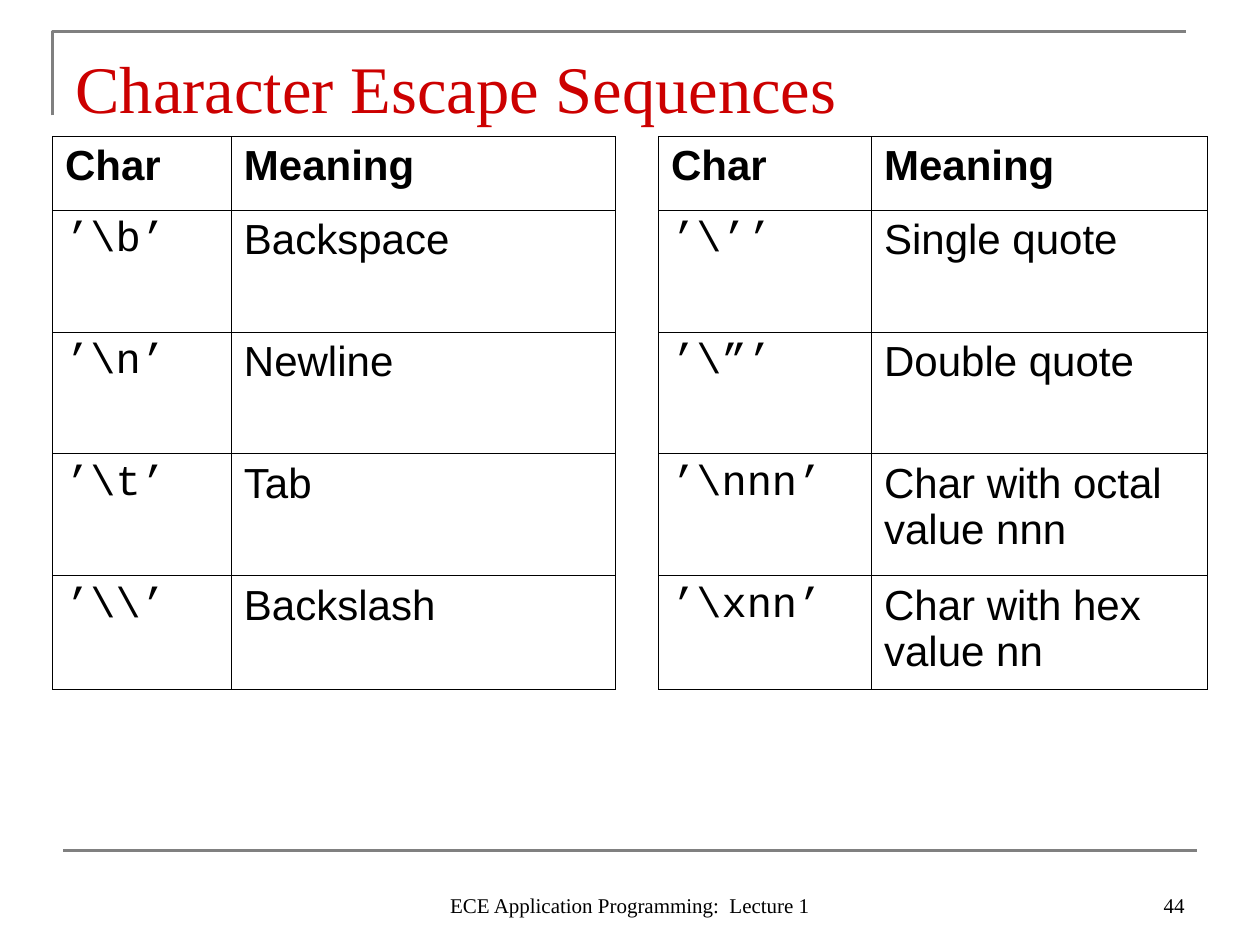
from lxml.etree import SubElement
from pptx import Presentation
from pptx.dml.color import RGBColor
from pptx.enum.shapes import MSO_CONNECTOR
from pptx.enum.text import MSO_ANCHOR, PP_ALIGN
from pptx.oxml.ns import qn
from pptx.util import Pt

BLACK = RGBColor(0x00, 0x00, 0x00)
GRAY = RGBColor(0x80, 0x80, 0x80)
RED = RGBColor(0xCC, 0x00, 0x00)
SERIF, SANS, MONO = "Times New Roman", "Arial", "Courier New"

TITLE = "Character Escape Sequences"
ROWS = [
    ("Char", "Meaning", "", "Char", "Meaning"),
    (r"’\b’", "Backspace", "", r"’\’’", "Single quote"),
    (r"’\n’", "Newline", "", r"’\”’", "Double quote"),
    (r"’\t’", "Tab", "", r"’\nnn’", "Char with octal value nnn"),
    (r"’\\’", "Backslash", "", r"’\xnn’", "Char with hex value nn"),
]
COLUMN_WIDTHS = (102.24, 219.6, 24.5, 121.7, 192.2)
ROW_HEIGHTS = (42, 69.7, 69.7, 69.7, 64.8)
SPACER_COLUMN = 2
CODE_COLUMNS = (0, 3)
# text, left, top, width, height, alignment
FOOTERS = [
    ("44", 516, 492, 168, 36, PP_ALIGN.RIGHT),
    ("ECE Application Programming:  Lecture 1", 246, 492, 228, 36, PP_ALIGN.CENTER),
]


def style_font(font, name, size, color, bold=False):
    font.name, font.size, font.bold = name, Pt(size), bold
    font.color.rgb = color


def set_borders(cell, visible_sides):
    """Draw thin black lines on the visible sides and none on the others."""
    properties = cell._tc.get_or_add_tcPr()
    for index, side in enumerate("LRTB"):
        line = SubElement(properties, qn(f"a:ln{side}"), w=str(Pt(0.45)))
        if side in visible_sides:
            fill = SubElement(line, qn("a:solidFill"))
            SubElement(fill, qn("a:srgbClr"), val=str(BLACK))
        else:
            SubElement(line, qn("a:noFill"))
        properties.insert(index, line)


def add_rules(shapes):
    builder = shapes.build_freeform(Pt(30), Pt(66), scale=1.0)
    builder.add_line_segments([(Pt(30), Pt(18)), (Pt(678), Pt(18))], close=False)
    corner = builder.convert_to_shape()
    corner.shadow.inherit = False
    corner.fill.background()
    bottom_rule = shapes.add_connector(
        MSO_CONNECTOR.STRAIGHT, Pt(36), Pt(486), Pt(684), Pt(486))
    SubElement(bottom_rule._element.spPr, qn("a:effectLst"))
    for rule in (corner, bottom_rule):
        rule.line.color.rgb = GRAY
        rule.line.width = Pt(1.5)


def add_title(title):
    title.left, title.top, title.width, title.height = Pt(36), Pt(21.6), Pt(648), Pt(56)
    frame = title.text_frame
    frame.text = TITLE
    frame.vertical_anchor = MSO_ANCHOR.MIDDLE
    para = frame.paragraphs[0]
    para.alignment = PP_ALIGN.LEFT
    style_font(para.runs[0].font, SERIF, 38, RED)


def add_escape_table(shapes):
    table = shapes.add_table(
        len(ROWS), len(COLUMN_WIDTHS), Pt(30), Pt(78),
        Pt(sum(COLUMN_WIDTHS)), Pt(sum(ROW_HEIGHTS))).table
    table.first_row = table.horz_banding = False
    for column, width in zip(table.columns, COLUMN_WIDTHS):
        column.width = Pt(width)
    for row, height in zip(table.rows, ROW_HEIGHTS):
        row.height = Pt(height)
    for row_index, texts in enumerate(ROWS):
        is_header = row_index == 0
        for column_index, text in enumerate(texts):
            cell = table.cell(row_index, column_index)
            cell.fill.background()
            if column_index == SPACER_COLUMN:
                set_borders(cell, "LR")
                continue
            set_borders(cell, "LRTB")
            cell.text_frame.text = text
            is_code = column_index in CODE_COLUMNS and not is_header
            style_font(cell.text_frame.paragraphs[0].runs[0].font,
                       MONO if is_code else SANS, 24, BLACK, is_header)


def add_footers(shapes):
    for text, left, top, width, height, alignment in FOOTERS:
        box = shapes.add_textbox(Pt(left), Pt(top), Pt(width), Pt(height))
        frame = box.text_frame
        frame.word_wrap = True
        frame.vertical_anchor = MSO_ANCHOR.BOTTOM
        frame.text = text
        para = frame.paragraphs[0]
        para.alignment = alignment
        style_font(para.runs[0].font, SERIF, 12, BLACK)


def main():
    deck = Presentation()
    deck.slide_width, deck.slide_height = Pt(720), Pt(540)
    page = deck.slides.add_slide(deck.slide_layouts.get_by_name("Title Only"))
    add_rules(page.shapes)
    add_title(page.shapes.title)
    add_escape_table(page.shapes)
    add_footers(page.shapes)
    deck.save("out.pptx")


if __name__ == "__main__":
    main()
